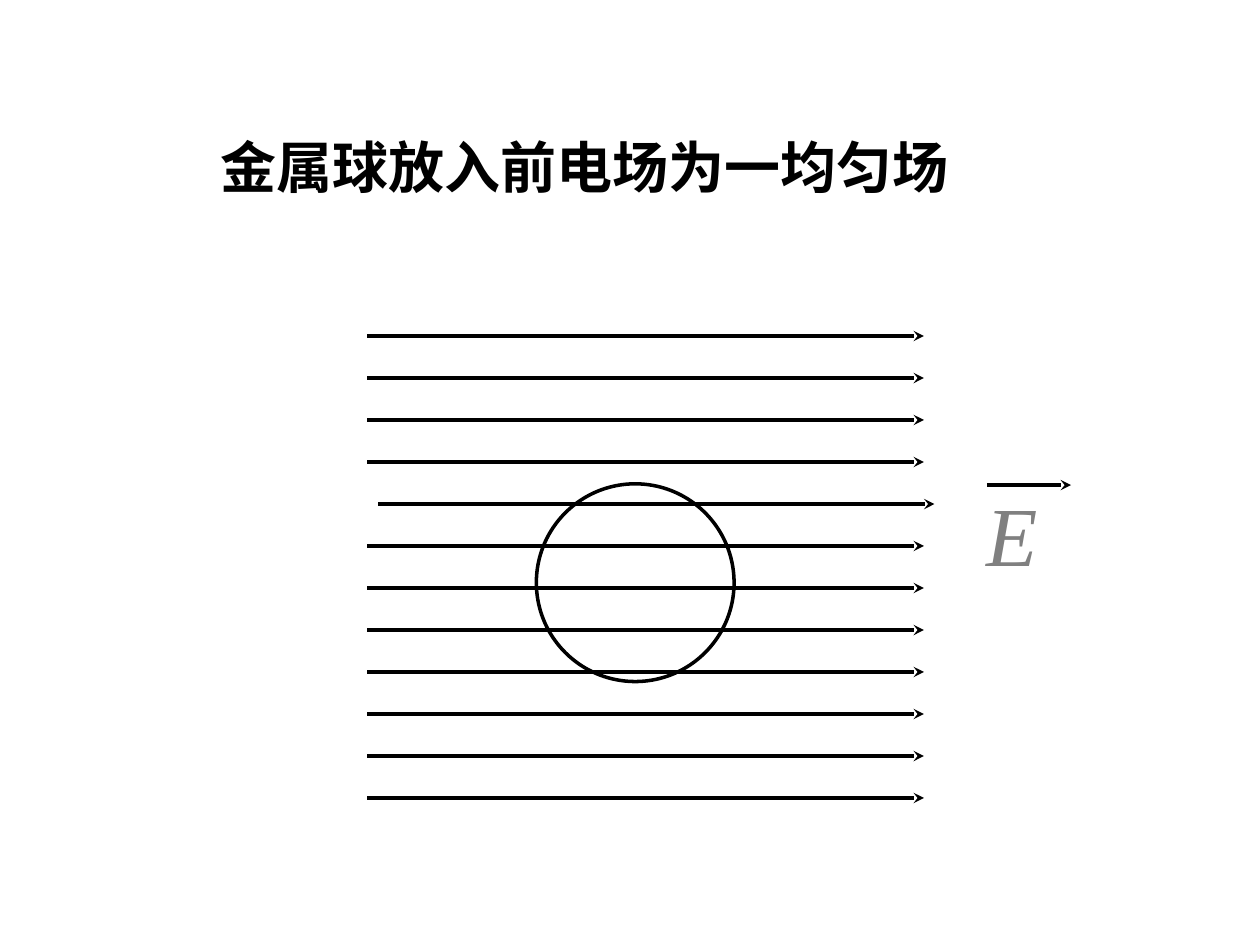
from dataclasses import dataclass

from lxml import etree
from pptx import Presentation
from pptx.dml.color import RGBColor
from pptx.enum.shapes import MSO_CONNECTOR, MSO_SHAPE
from pptx.enum.text import MSO_ANCHOR, MSO_AUTO_SIZE, PP_ALIGN
from pptx.oxml.ns import qn
from pptx.slide import Slide
from pptx.text.text import TextFrame
from pptx.util import Pt

STRAIGHT = MSO_CONNECTOR.STRAIGHT
OVAL = MSO_SHAPE.OVAL
TOP = MSO_ANCHOR.TOP
FIT_SHAPE = MSO_AUTO_SIZE.SHAPE_TO_FIT_TEXT
LEFT = PP_ALIGN.LEFT


@dataclass(frozen=True)
class Theme:
    ink: RGBColor = RGBColor(0, 0, 0)
    symbol: RGBColor = RGBColor(0x80, 0x80, 0x80)
    title_font: str = "Roboto Slab"
    symbol_font: str = "Times New Roman"
    title_size: int = 32
    symbol_size: int = 48
    line_width: int = 2


@dataclass(frozen=True)
class Arrow:
    x: float
    y: float
    length: float


@dataclass(frozen=True)
class TextStyle:
    font: str
    size: int
    color: RGBColor
    bold: bool = False
    italic: bool = False


THEME = Theme()
TITLE = TextStyle(THEME.title_font, THEME.title_size, THEME.ink, bold=True)
SYMBOL = TextStyle(THEME.symbol_font, THEME.symbol_size, THEME.symbol, italic=True)

FIELD_COUNT = 12
FIELD_LEFT = 210
FIELD_TOP = 192
FIELD_GAP = 24
FIELD_LENGTH = 318
SHIFTED_ROW = 4
ROW_SHIFT = 6

FIELD_LINES = [
    Arrow(
        FIELD_LEFT + (ROW_SHIFT if row == SHIFTED_ROW else 0),
        FIELD_TOP + row * FIELD_GAP,
        FIELD_LENGTH,
    )
    for row in range(FIELD_COUNT)
]
VECTOR_MARK = Arrow(564, 277.2, 48)


def draw_arrow(s: Slide, arrow: Arrow) -> None:
    sp = s.shapes.add_connector(
        STRAIGHT, Pt(arrow.x), Pt(arrow.y), Pt(arrow.x + arrow.length), Pt(arrow.y)
    )
    sp.line.color.rgb = THEME.ink
    sp.line.width = Pt(THEME.line_width)
    etree.SubElement(sp.line._get_or_add_ln(), qn("a:tailEnd"), type="stealth")
    etree.SubElement(sp._element.spPr, qn("a:effectLst"))


def draw_sphere(s: Slide, x: float, y: float, diameter: float) -> None:
    sp = s.shapes.add_shape(OVAL, Pt(x), Pt(y), Pt(diameter), Pt(diameter))
    sp.shadow.inherit = False
    sp.fill.background()
    sp.line.color.rgb = THEME.ink
    sp.line.width = Pt(THEME.line_width)


def write(tf: TextFrame, text: str, style: TextStyle, wrap: bool) -> None:
    tf.word_wrap = wrap
    tf.auto_size = FIT_SHAPE
    tf.vertical_anchor = TOP
    p = tf.paragraphs[0]
    p.alignment = LEFT
    r = p.add_run()
    r.text = text
    r.font.name = style.font
    r.font.size = Pt(style.size)
    r.font.bold = style.bold
    r.font.italic = style.italic
    r.font.color.rgb = style.color
    etree.SubElement(r.font._element, qn("a:ea"), typeface=style.font)


def main() -> None:
    prs = Presentation()
    prs.slide_width, prs.slide_height = Pt(720), Pt(540)
    s = prs.slides.add_slide(prs.slide_layouts[5])

    title = s.shapes.title
    title.left, title.top = Pt(118.8), Pt(72)
    title.width, title.height = Pt(517), Pt(45.4)
    write(title.text_frame, "金属球放入前电场为一均匀场", TITLE, wrap=True)

    draw_sphere(s, 306.5, 276.5, 113)
    for arrow in FIELD_LINES:
        draw_arrow(s, arrow)

    symbol = s.shapes.add_textbox(Pt(556.5), Pt(272), Pt(44), Pt(65))
    write(symbol.text_frame, "E", SYMBOL, wrap=False)
    draw_arrow(s, VECTOR_MARK)

    prs.save("out.pptx")


if __name__ == "__main__":
    main()
